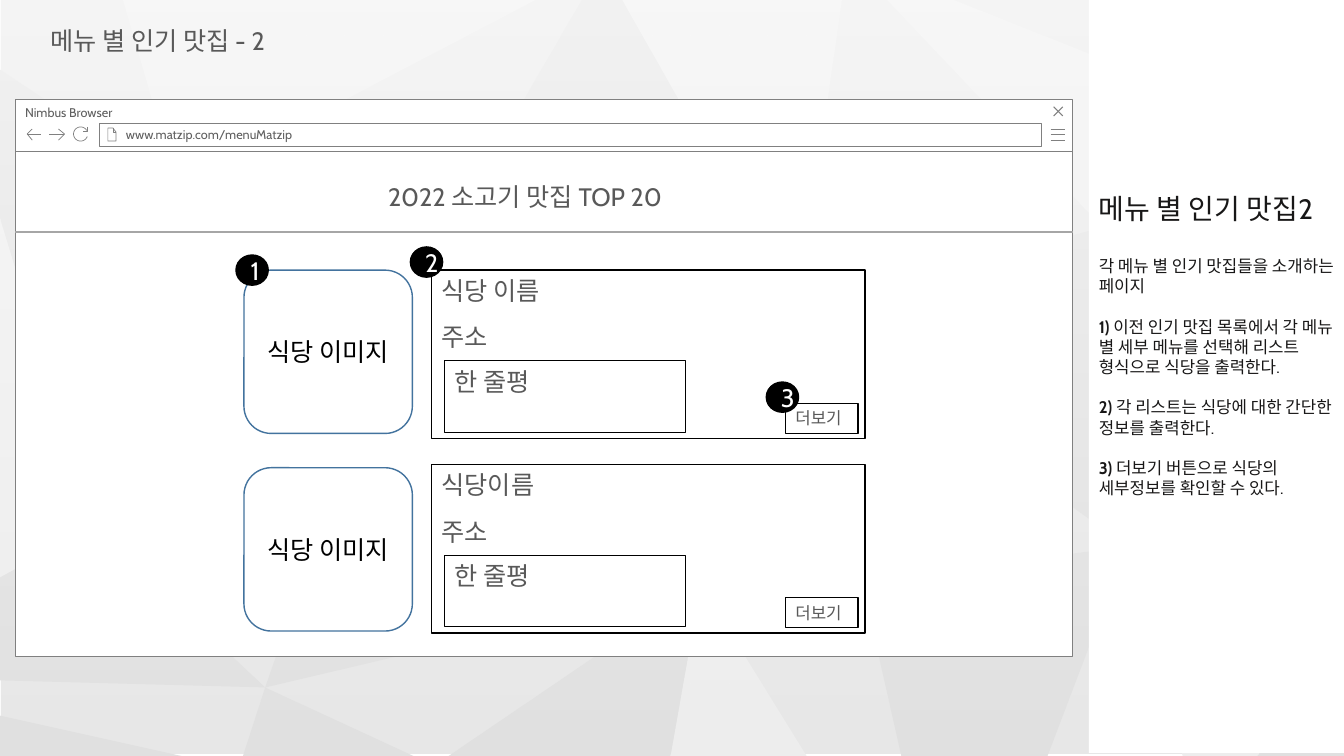
from math import cos, radians, sin
from lxml.etree import SubElement
from pptx import Presentation
from pptx.dml.color import RGBColor
from pptx.enum.shapes import MSO_CONNECTOR, MSO_SHAPE
from pptx.enum.text import MSO_ANCHOR, PP_ALIGN
from pptx.oxml.ns import qn
from pptx.util import Inches, Pt

THEME = {
    "font": "Cabin",
    "white": "FFFFFF", "black": "000000", "base": "E7E7E7",
    "light": "EDEDED", "dark": "E0E0E0", "frame": "808080",
    "chrome_text": "5F5F5F", "text": "595959", "sidebar_text": "181717",
    "image_line": "43739E", "divider": "A6A6A6",
    "heading": 20, "body": 18, "note": 12, "browser": 9,
}


def add_box(kind, bounds, fill=None, line=None, width=0.5, text="", size="body",
            color="text", align=PP_ALIGN.LEFT, anchor=MSO_ANCHOR.TOP, left=0.1, wrap=True):
    position = [Inches(value) for value in bounds]
    if kind is None:
        shape = slide.shapes.add_textbox(*position)
    else:
        shape = slide.shapes.add_shape(kind, *position)
        shape.shadow.inherit = False
        if fill:
            shape.fill.solid()
            shape.fill.fore_color.rgb = RGBColor.from_string(THEME[fill])
        else:
            shape.fill.background()
        if line:
            shape.line.color.rgb = RGBColor.from_string(THEME[line])
            shape.line.width = Pt(width)
        else:
            shape.line.fill.background()
    if text:
        frame = shape.text_frame
        frame.word_wrap = wrap
        frame.vertical_anchor = anchor
        frame.margin_left = Inches(left)
        paragraph = frame.paragraphs[0]
        paragraph.alignment = align
        run = paragraph.add_run()
        run.text = text
        run.font.name = THEME["font"]
        run.font.size = Pt(THEME[size])
        run.font.color.rgb = RGBColor.from_string(THEME[color])
    return shape


def add_outline(strokes, fill=None, width=0.5):
    start_x, start_y = strokes[0][0]
    builder = slide.shapes.build_freeform(Inches(start_x), Inches(start_y))
    for index, stroke in enumerate(strokes):
        points = [(Inches(x), Inches(y)) for x, y in stroke]
        if index:
            builder.move_to(*points[0])
        builder.add_line_segments(points[1:], close=fill is not None)
    shape = builder.convert_to_shape()
    shape.shadow.inherit = False
    if fill:
        shape.fill.solid()
        shape.fill.fore_color.rgb = RGBColor.from_string(THEME[fill])
        shape.line.fill.background()
    else:
        shape.fill.background()
        shape.line.color.rgb = RGBColor.from_string(THEME["frame"])
        shape.line.width = Pt(width)


presentation = Presentation()
presentation.slide_width = Inches(13.33)
presentation.slide_height = Inches(7.5)
slide = presentation.slides.add_slide(presentation.slide_layouts[6])

add_box(MSO_SHAPE.RECTANGLE, (0.01, 0, 13.31, 7.48), fill="base")
facets = {
    "light": [
        [(6.95, 5.8), (6.65, 7.5), (8, 7.5)],
        [(11.18, 5.42), (11.73, 7.5), (12.47, 7.5), (13.33, 6.51), (13.33, 6.33)],
        [(0, 2.16), (0, 5.73), (0.93, 5.22)],
        [(8.8, 0), (10.94, 2.26), (13.33, 1.61), (13.33, 1.54), (9.46, 0)],
        [(1.22, 0), (1.76, 1.86), (5.31, 0)],
        [(6.17, 0), (7.91, 3.07), (8.35, 0)],
    ],
    "dark": [
        [(0.93, 5.22), (0, 5.73), (0, 6.75), (2.63, 6.82)],
        [(2.63, 6.82), (2.41, 7.5), (4.1, 7.5)],
        [(13.33, 6.52), (12.47, 7.5), (13.33, 7.5)],
        [(0, 7.1), (0, 7.5), (1.8, 7.5)],
        [(11.18, 5.42), (8.55, 5.77), (8.94, 7.5), (10.39, 7.5)],
        [(6.95, 5.8), (4.45, 7.5), (6.65, 7.5)],
        [(13.33, 1.61), (7.91, 3.07), (11.18, 5.42), (13.33, 1.84)],
        [(6.95, 5.8), (3.87, 3.27), (2.63, 6.82)],
        [(0, 0.69), (0, 2.16), (0.93, 5.22), (1.76, 1.86)],
        [(5.77, 0), (3.87, 3.27), (7.91, 3.07), (6.17, 0)],
    ],
}
for shade, polygons in facets.items():
    for polygon in polygons:
        add_outline([polygon], fill=shade)

veil = add_box(MSO_SHAPE.RECTANGLE, (0, 0, 13.33, 7.5))
veil.fill.gradient()
veil.fill.gradient_angle = 270
for stop, position in zip(veil.fill.gradient_stops, (0, 1)):
    stop.position = position
    stop.color.rgb = RGBColor.from_string(THEME["white"])
for color_element, opacity in zip(veil._element.iter(qn("a:srgbClr")), (60000, 0)):
    SubElement(color_element, qn("a:alpha")).set("val", str(opacity))

add_box(None, (0.4, 0.2, 2.55, 0.4), text="메뉴 별 인기 맛집 - 2", wrap=False)

add_box(MSO_SHAPE.RECTANGLE, (0.15, 1.5, 10.49, 5.01), fill="white", line="frame")
add_box(MSO_SHAPE.RECTANGLE, (0.15, 0.99, 10.49, 0.51), fill="white", line="frame",
        text="Nimbus Browser", size="browser", color="chrome_text")
add_box(MSO_SHAPE.RECTANGLE, (0.99, 1.22, 9.34, 0.23), fill="white", line="frame",
        text="www.matzip.com/menuMatzip", size="browser", color="chrome_text",
        anchor=MSO_ANCHOR.MIDDLE, left=0.26)

menu_icon = [[(10.42, y), (10.56, y)] for y in (1.28, 1.33, 1.39)]
page_icon = [[(1.12, 1.27), (1.12, 1.31), (1.15, 1.31)],
             [(1.07, 1.27), (1.07, 1.4), (1.15, 1.4), (1.15, 1.31), (1.12, 1.27), (1.07, 1.27)]]
back_icon = [[(0.32, 1.39), (0.27, 1.33), (0.32, 1.28)], [(0.27, 1.33), (0.41, 1.33)]]
forward_icon = [[(0.58, 1.28), (0.64, 1.33), (0.58, 1.39)], [(0.63, 1.33), (0.49, 1.33)]]
reload_arc = [(0.8 + 0.07 * cos(radians(angle)), 1.33 + 0.07 * sin(radians(angle)))
              for angle in range(20, 335, 10)]
reload_icon = [[(0.87, 1.26), (0.87, 1.3), (0.82, 1.3)], reload_arc]
for icon in (menu_icon, page_icon, back_icon, forward_icon, reload_icon):
    add_outline(icon)
close_icon = [[(10.54, 1.06), (10.45, 1.15)], [(10.45, 1.06), (10.54, 1.15)]]
add_outline(close_icon, width=0.75)

sidebar = add_box(MSO_SHAPE.RECTANGLE, (10.8, -0.03, 2.57, 7.5), fill="white")
sidebar_frame = sidebar.text_frame
sidebar_frame.word_wrap = True
sidebar_frame.vertical_anchor = MSO_ANCHOR.MIDDLE
sidebar_frame.margin_bottom = Inches(0.65)
sidebar_notes = [
    ("", "메뉴 별 인기 맛집2", "heading", 0),
    ("", "각 메뉴 별 인기 맛집들을 소개하는 페이지", "note", 22),
    ("1) ", "이전 인기 맛집 목록에서 각 메뉴 별 세부 메뉴를 선택해 리스트 형식으로 식당을 출력한다.", "note", 14.5),
    ("2) ", "각 리스트는 식당에 대한 간단한 정보를 출력한다.", "note", 14.5),
    ("3) ", "더보기 버튼으로 식당의 세부정보를 확인할 수 있다.", "note", 14.5),
]
for index, (number, note, size, gap) in enumerate(sidebar_notes):
    paragraph = sidebar_frame.add_paragraph() if index else sidebar_frame.paragraphs[0]
    paragraph.alignment = PP_ALIGN.LEFT
    paragraph.space_before = Pt(gap)
    for content, bold in ((number, True), (note, False)):
        if content:
            run = paragraph.add_run()
            run.text = content
            run.font.name = THEME["font"]
            run.font.size = Pt(THEME[size])
            run.font.bold = bold
            run.font.color.rgb = RGBColor.from_string(THEME["sidebar_text"])

add_box(None, (3.75, 1.75, 3.29, 0.4), text="2022 소고기 맛집 TOP 20")

for card_top, image_top, name in ((2.68, 2.68, "식당 이름"), (4.61, 4.64, "식당이름")):
    add_box(MSO_SHAPE.RECTANGLE, (4.28, card_top, 4.3, 1.67), line="black", width=1)
    add_box(None, (4.28, card_top, 1.85, 0.4), text=name)
    add_box(None, (4.28, card_top + 0.46, 1.85, 0.4), text="주소")
    add_box(MSO_SHAPE.RECTANGLE, (4.41, card_top + 0.9, 2.39, 0.71),
            line="black", width=0.75, text="한 줄평")
    add_box(MSO_SHAPE.RECTANGLE, (7.79, card_top + 1.32, 0.72, 0.3),
            line="black", width=0.75, text="더보기", size="note")
    add_box(MSO_SHAPE.ROUNDED_RECTANGLE, (2.42, image_top, 1.67, 1.62),
            line="image_line", width=1, text="식당 이미지", color="black",
            align=PP_ALIGN.CENTER, anchor=MSO_ANCHOR.MIDDLE)

for number, (left, top) in enumerate(((2.34, 2.53), (4.07, 2.45), (7.6, 3.79)), 1):
    add_box(MSO_SHAPE.OVAL, (left, top, 0.32, 0.3), fill="black", line="black", width=1,
            text=str(number), color="white", align=PP_ALIGN.CENTER, anchor=MSO_ANCHOR.MIDDLE)

divider = slide.shapes.add_connector(
    MSO_CONNECTOR.STRAIGHT, Inches(0.15), Inches(2.3), Inches(10.64), Inches(2.3))
divider.line.color.rgb = RGBColor.from_string(THEME["divider"])
divider.line.width = Pt(1.5)
SubElement(divider._element.spPr, qn("a:effectLst"))

presentation.save("out.pptx")
